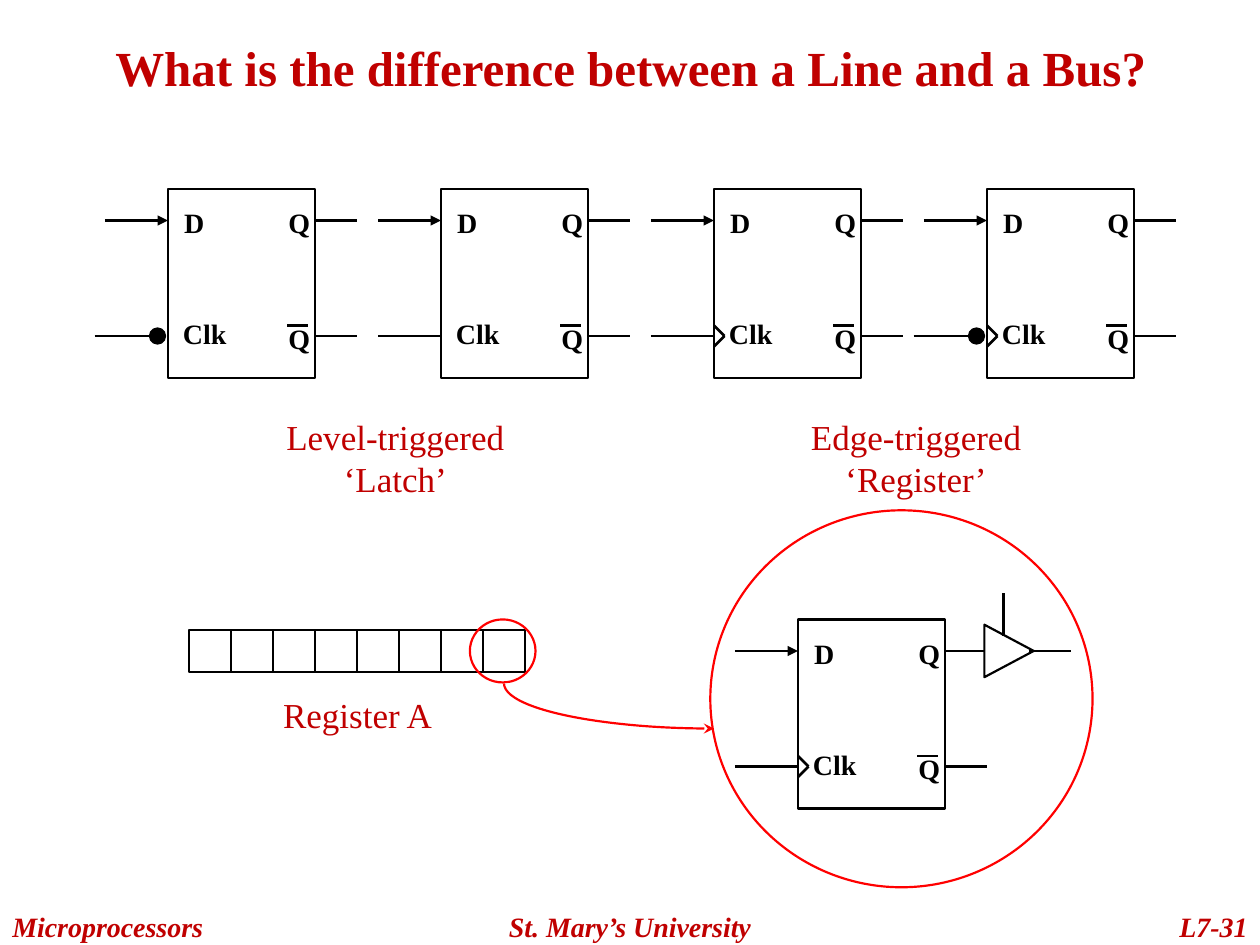
from lxml import etree
from pptx import Presentation
from pptx import util as u
from pptx.dml.color import RGBColor
from pptx.enum import shapes, text
from pptx.oxml import ns

BLACK = RGBColor(0x00, 0x00, 0x00)
WHITE = RGBColor(0xFF, 0xFF, 0xFF)
CRIMSON = RGBColor(0xC0, 0x00, 0x00)
RED = RGBColor(0xFF, 0x00, 0x00)
FONT = "Times New Roman"
LEFT, MID, RIGHT = text.PP_ALIGN.LEFT, text.PP_ALIGN.CENTER, text.PP_ALIGN.RIGHT
KIND = shapes.MSO_SHAPE

# The slide is a grid of 120 columns by 90 rows.
COLS, ROWS = 120, 90
CELL = u.Inches(10) / COLS

deck = Presentation()
deck.slide_width = u.Emu(int(COLS * CELL))
deck.slide_height = u.Emu(int(ROWS * CELL))
slide = deck.slides.add_slide(deck.slide_layouts[6])


def draw(kind, x, y, w, h, ink=BLACK, fill=WHITE, width=1.25):
    """Add an outlined shape placed in grid cells."""
    shape = slide.shapes.add_shape(kind, *(u.Emu(round(n * CELL)) for n in (x, y, w, h)))
    shape.shadow.inherit = False
    if fill is None:
        shape.fill.background()
    else:
        shape.fill.solid()
        shape.fill.fore_color.rgb = fill
    shape.line.color.rgb = ink
    shape.line.width = u.Pt(width)
    return shape


def wire(x1, y1, x2, y2, end=None, size="med"):
    """Add a straight black line, with an optional mark at its second point."""
    line = slide.shapes.add_connector(
        shapes.MSO_CONNECTOR.STRAIGHT, *(u.Emu(round(n * CELL)) for n in (x1, y1, x2, y2)))
    line.line.color.rgb = BLACK
    line.line.width = u.Pt(1.5)
    if end:
        etree.SubElement(line.line._get_or_add_ln(), ns.qn("a:tailEnd"),
                         type=end, w=size, len=size)
    etree.SubElement(line._element.spPr, ns.qn("a:effectLst"))


# Labels: x, y, width, height, lines, size, colour, bold, italic, alignment
labels = [
    (0, 86, 24, 4, ["Microprocessors"], 16, CRIMSON, True, True, LEFT),
    (41, 86, 38, 4, ["St. Mary’s University"], 16, CRIMSON, True, True, MID),
    (101, 86, 19, 4, ["L7-31"], 16, CRIMSON, True, True, RIGHT),
    (9.8, 3, 105.2, 6.8, ["What is the difference between a Line and a Bus?"],
     28, CRIMSON, True, False, LEFT),
    (22, 39, 31.3, 9.2, ["Level-triggered", "‘Latch’"], 20, CRIMSON, False, False, MID),
    (71.6, 39, 31.3, 9.2, ["Edge-triggered", "‘Register’"], 20, CRIMSON, False, False, MID),
    (18.4, 65.5, 31.3, 5.3, ["Register A"], 20, CRIMSON, False, False, MID),
]

# Flip-flops: x, y, inverted clock, edge-triggered
flops = [
    (16, 18, True, False),
    (42, 18, False, False),
    (68, 18, False, True),
    (94, 18, True, True),
    (76, 59, False, True),
]
for x, y, invert, edge in flops:
    draw(KIND.RECTANGLE, x, y, 14, 18, width=1.5)
    wire(x - 6, y + 3, x, y + 3, "triangle")
    if invert:
        wire(x - 7, y + 14, x - 1, y + 14, "oval", "lg")
    else:
        wire(x - 6, y + 14, x, y + 14)
    if edge:
        for dy in (13, 15):
            wire(x, y + dy, x + 1, y + 14)
    for dy in (3, 14):
        wire(x + 14, y + dy, x + 18, y + dy)
    wire(x + 11.35, y + 13, x + 13.35, y + 13)
    for name, dx, dy, w in (("D", 0, 1, 5), ("Clk", 0, 11.6, 7),
                            ("Q", 10, 1, 5), ("Q", 10, 12, 5)):
        labels.append((x + dx, y + dy, w, 4.4, [name], 16, BLACK, True, False, MID))

# Register A
for bit in range(8):
    draw(KIND.RECTANGLE, 18 + 4 * bit, 60, 4, 4)

# Three-state buffer
buffer = draw(KIND.ISOSCELES_TRIANGLE, 93.6, 59.65, 5, 4.7)
buffer.rotation = 90
wire(98, 62, 102, 62)
wire(95.6, 56.5, 95.6, 60.6)

# Zoom from the last bit to its flip-flop
draw(KIND.OVAL, 44.75, 59, 6.25, 6, RED, None)
arc = draw(KIND.ARC, 48, 60.8, 40, 8.6, RED)
for flip in ("flipH", "flipV"):
    arc._element.spPr.xfrm.set(flip, "1")
etree.SubElement(arc.line._get_or_add_ln(), ns.qn("a:headEnd"), type="stealth")
draw(KIND.OVAL, 67.65, 48.6, 36.4, 35.9, RED, None)

for x, y, w, h, lines, size, ink, bold, slant, align in labels:
    box = slide.shapes.add_textbox(*(u.Emu(round(n * CELL)) for n in (x, y, w, h)))
    frame = box.text_frame
    frame.word_wrap = True
    for i, words in enumerate(lines):
        para = frame.add_paragraph() if i else frame.paragraphs[0]
        para.alignment = align
        run = para.add_run()
        run.text = words
        run.font.name = FONT
        run.font.size = u.Pt(size)
        run.font.bold = bold
        run.font.italic = slant
        run.font.color.rgb = ink

deck.save("out.pptx")
